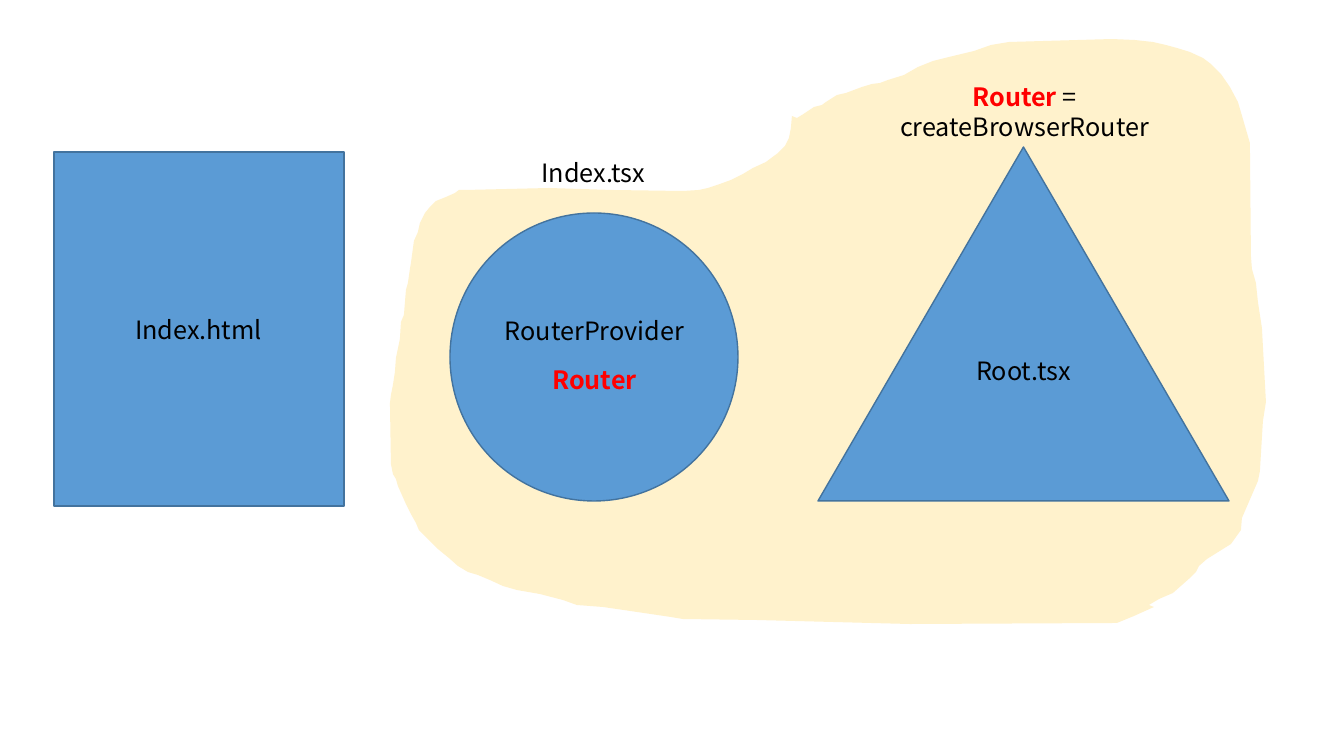
"""Build the slide on how the router links index and root files."""
from pptx import Presentation
from pptx.dml.color import RGBColor
from pptx.enum.shapes import MSO_SHAPE
from pptx.enum.text import MSO_ANCHOR, PP_ALIGN
from pptx.util import Emu, Pt

SCALE = 914400 / 100.8
CREAM = RGBColor(0xFF, 0xF2, 0xCC)
BLUE = RGBColor(0x5B, 0x9B, 0xD5)
NAVY = RGBColor(0x43, 0x73, 0x9E)
BLACK = RGBColor(0, 0, 0)
RED = RGBColor(0xFF, 0, 0)
FONT = "Noto Sans CJK KR"


def px(*sizes):
    return [Emu(round(size * SCALE)) for size in sizes]


deck = Presentation()
deck.slide_width, deck.slide_height = px(1344, 756)
slide = deck.slides.add_slide(deck.slide_layouts[6])
shapes = slide.shapes

edge = [
    (792, 116), (791, 128), (789, 138), (785, 146), (778, 153), (766, 162),
    (753, 168), (743, 174), (731, 180), (720, 184), (708, 188), (699, 190),
    (683, 191), (612, 190), (549, 188), (466, 190), (459, 190), (455, 193),
    (446, 197), (436, 201), (430, 207), (425, 213), (420, 223), (418, 232),
    (414, 241), (411, 263), (410, 269), (408, 283), (406, 290), (404, 315),
    (401, 322), (400, 339), (396, 358), (395, 372), (393, 385), (391, 395),
    (390, 403), (391, 464), (393, 474), (396, 479), (398, 486), (406, 504),
    (411, 514), (416, 523), (419, 530), (424, 535), (438, 549), (449, 558),
    (458, 566), (468, 572), (478, 575), (490, 580), (503, 586), (517, 590),
    (540, 594), (563, 600), (577, 605), (603, 607), (617, 609), (671, 617),
    (683, 619), (757, 620), (910, 624), (1117, 623), (1134, 616), (1154, 607),
    (1149, 605), (1159, 599), (1173, 593), (1190, 578), (1196, 572),
    (1199, 566), (1207, 559), (1231, 544), (1241, 530), (1242, 518),
    (1258, 481), (1260, 471), (1263, 421), (1266, 402), (1262, 328),
    (1258, 302), (1256, 283), (1252, 269), (1251, 256), (1250, 143),
    (1243, 119), (1238, 102), (1230, 87), (1221, 74), (1211, 64), (1203, 58),
    (1190, 52), (1177, 48), (1166, 45), (1153, 42), (1135, 40), (1112, 39),
    (1009, 42), (991, 45), (974, 51), (949, 57), (933, 61), (918, 67),
    (904, 75), (888, 80), (880, 83), (872, 84), (862, 87), (846, 93),
    (837, 95), (826, 102), (822, 105), (814, 107), (802, 115), (797, 118),
]
build = shapes.build_freeform(*edge[0], scale=SCALE)
build.add_line_segments(edge[1:])
blob = build.convert_to_shape()
blob.shadow.inherit = False
blob.fill.solid()
blob.fill.fore_color.rgb = CREAM
blob.line.fill.background()

for kind, box in [
    (MSO_SHAPE.ISOSCELES_TRIANGLE, (818, 147, 411, 354)),
    (MSO_SHAPE.RECTANGLE, (54, 152, 290, 354)),
    (MSO_SHAPE.OVAL, (450, 213, 288, 288)),
]:
    shape = shapes.add_shape(kind, *px(*box))
    shape.shadow.inherit = False
    shape.fill.solid()
    shape.fill.fore_color.rgb = BLUE
    shape.line.color.rgb = NAVY
    shape.line.width = Pt(1)

for box, runs in [
    ((116, 309, 165, 40), [("Index.html", BLACK)]),
    ((511, 152, 165, 40), [("Index.tsx", BLACK)]),
    ((941, 350, 165, 40), [("Root.tsx", BLACK)]),
    ((469, 310, 251, 40), [("RouterProvider", BLACK)]),
    ((861, 76, 327, 71), [("Router", RED), (" = createBrowserRouter", BLACK)]),
    ((469, 359, 251, 40), [("Router", RED)]),
]:
    frame = shapes.add_textbox(*px(*box)).text_frame
    frame.word_wrap = True
    frame.vertical_anchor = MSO_ANCHOR.TOP
    para = frame.paragraphs[0]
    para.alignment = PP_ALIGN.CENTER
    for text, color in runs:
        run = para.add_run()
        run.text = text
        run.font.name = FONT
        run.font.size = Pt(18)
        run.font.bold = color == RED
        run.font.color.rgb = color

deck.save("out.pptx")
